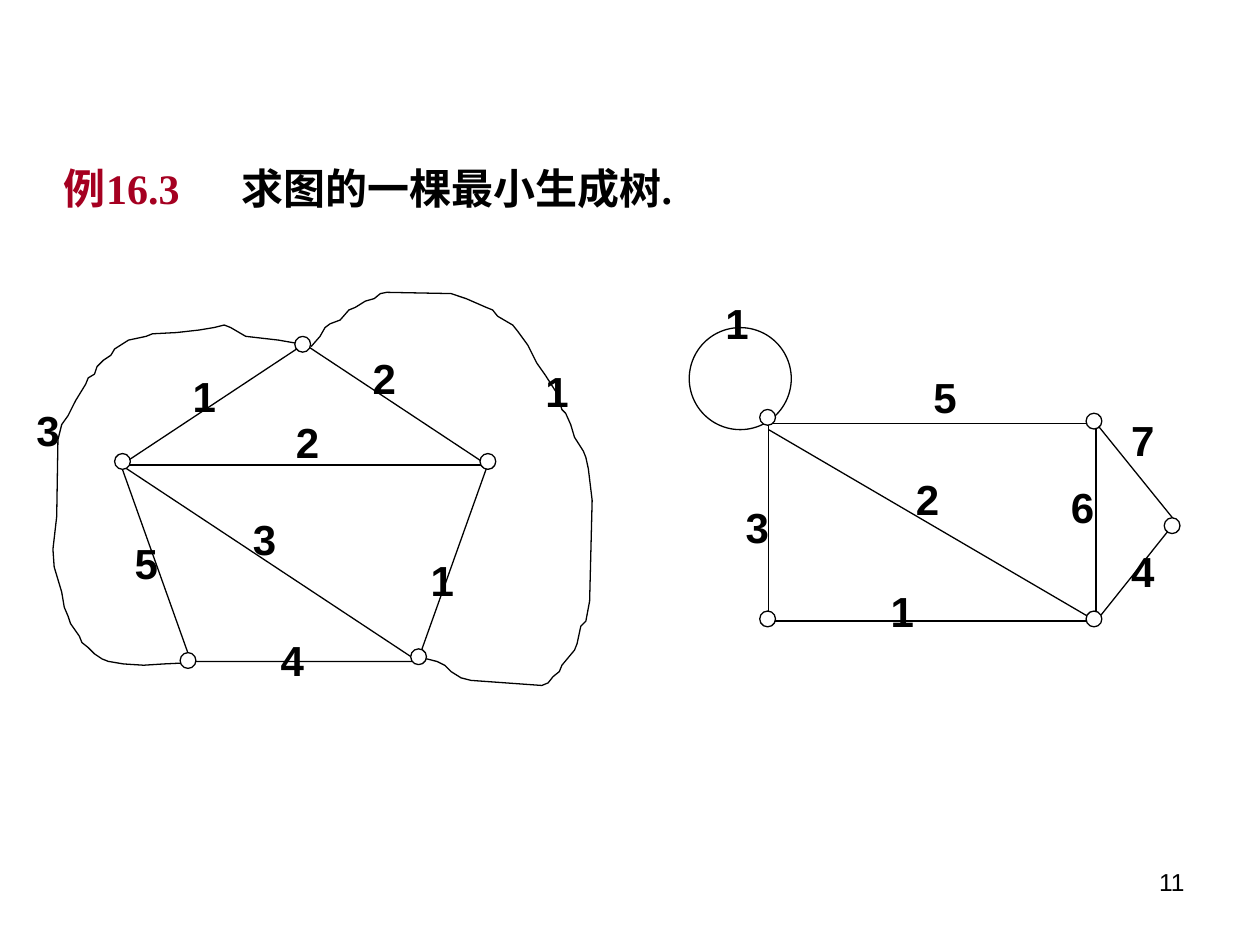
from dataclasses import dataclass

from lxml.etree import SubElement
from pptx import Presentation
from pptx.dml.color import RGBColor
from pptx.enum.shapes import MSO_CONNECTOR, MSO_SHAPE
from pptx.enum.text import MSO_AUTO_SIZE, PP_ALIGN
from pptx.oxml.ns import qn
from pptx.util import Inches, Pt


@dataclass(frozen=True)
class Theme:
    black: RGBColor = RGBColor(0, 0, 0)
    white: RGBColor = RGBColor(255, 255, 255)
    red: RGBColor = RGBColor(0xA5, 0x00, 0x21)
    sans: str = "Arial"
    serif: str = "Times New Roman"
    large: Pt = Pt(24)
    small: Pt = Pt(14)
    line: Pt = Pt(0.75)


theme = Theme()
presentation = Presentation()
presentation.slide_width, presentation.slide_height = Inches(10), Inches(7.5)
slide = presentation.slides.add_slide(presentation.slide_layouts[6])


def add_text(runs, left, top, width, height, font=theme.sans, size=theme.large,
             bold=True, align=PP_ALIGN.LEFT, grow=False):
    """Add one paragraph made of (text, colour) runs."""
    box = slide.shapes.add_textbox(Inches(left), Inches(top), Inches(width), Inches(height))
    frame = box.text_frame
    frame.word_wrap = True
    if grow:
        frame.auto_size = MSO_AUTO_SIZE.SHAPE_TO_FIT_TEXT
    paragraph = frame.paragraphs[0]
    paragraph.alignment = align
    for text, color in runs:
        run = paragraph.add_run()
        run.text = text
        run.font.name, run.font.size, run.font.bold = font, size, bold
        run.font.color.rgb = color
    return paragraph


def style_outline(shape, fill=None):
    """Give a shape a thin black outline, hollow unless a fill is named."""
    shape.shadow.inherit = False
    shape.line.color.rgb = theme.black
    shape.line.width = theme.line
    if fill is None:
        shape.fill.background()
    else:
        shape.fill.solid()
        shape.fill.fore_color.rgb = fill


# Page number and heading
add_text([("11", theme.black)], 7.17, 6.83, 2.33, 0.52,
         size=theme.small, bold=False, align=PP_ALIGN.RIGHT)
heading = add_text([("例16.3\t", theme.red), ("求图的一棵最小生成树.", theme.black)],
                   0.41, 1.24, 9, 0.51, font=theme.serif)
heading.space_before = Pt(6)
tab_stops = SubElement(heading._p.get_or_add_pPr(), qn("a:tabLst"))
SubElement(tab_stops, qn("a:tab"), pos=str(Inches(1.41)), algn="l")

# Pentagon, rectangle and loop
for kind, left, top, width, height in [
    (MSO_SHAPE.REGULAR_PENTAGON, 0.96, 2.73, 2.91, 2.52),
    (MSO_SHAPE.RECTANGLE, 6.1, 3.36, 2.6, 1.57),
    (MSO_SHAPE.OVAL, 5.47, 2.6, 0.81, 0.81),
]:
    style_outline(slide.shapes.add_shape(
        kind, Inches(left), Inches(top), Inches(width), Inches(height)))

# Straight edges
for start_x, start_y, end_x, end_y in [
    (0.96, 3.69, 3.88, 3.69),
    (0.96, 3.69, 3.32, 5.25),
    (6.1, 3.41, 8.7, 4.93),
    (8.7, 3.36, 9.33, 4.14),
    (8.7, 4.93, 9.33, 4.14),
]:
    edge = slide.shapes.add_connector(
        MSO_CONNECTOR.STRAIGHT, Inches(start_x), Inches(start_y), Inches(end_x), Inches(end_y))
    edge.line.color.rgb = theme.black
    edge.line.width = theme.line
    SubElement(edge._element.spPr, qn("a:effectLst"))

# Hand-drawn edges, in hundredths of an inch
left_edge = [
    (244, 274), (221, 270), (195, 267), (183, 260), (178, 258), (170, 260), (158, 262),
    (140, 264), (121, 265), (116, 267), (102, 270), (91, 277), (88, 282), (82, 286),
    (77, 291), (75, 297), (70, 300), (68, 305), (60, 318), (54, 330), (49, 337),
    (46, 349), (45, 410), (42, 436), (43, 450), (49, 470), (51, 482), (54, 489),
    (56, 495), (63, 505), (65, 510), (70, 514), (75, 519), (81, 523), (86, 525),
    (98, 527), (114, 528), (130, 527), (151, 526),
]
right_edge = [
    (247, 275), (254, 267), (258, 260), (262, 257), (270, 254), (277, 246), (282, 244),
    (290, 239), (297, 237), (302, 233), (307, 232), (358, 233), (370, 237), (386, 244),
    (391, 246), (395, 251), (407, 258), (411, 263), (419, 274), (426, 288), (433, 298),
    (442, 312), (446, 325), (449, 328), (453, 337), (456, 347), (463, 358), (465, 363),
    (467, 372), (470, 397), (468, 477), (465, 493), (461, 497), (458, 511), (456, 516),
    (446, 528), (444, 533), (439, 537), (435, 542), (430, 544), (374, 540), (366, 538),
    (358, 533), (353, 528), (347, 525), (339, 523), (330, 523),
]
for points in (left_edge, right_edge):
    builder = slide.shapes.build_freeform(*points[0], scale=Inches(0.01))
    builder.add_line_segments(points[1:], close=False)
    style_outline(builder.convert_to_shape())

# Edge weights
for weight, left, top in [
    ("2", 7.17, 3.71), ("5", 7.31, 2.9), ("3", 5.82, 3.93), ("1", 6.97, 4.6),
    ("1", 5.66, 2.31), ("4", 2.13, 4.99), ("5", 0.97, 4.22), ("3", 1.91, 4.03),
    ("3", 0.19, 3.16), ("2", 2.25, 3.26), ("1", 3.32, 4.35), ("1", 1.43, 2.89),
    ("2", 2.86, 2.75), ("6", 8.4, 3.77), ("4", 8.88, 4.28), ("7", 8.88, 3.24),
    ("1", 4.23, 2.85),
]:
    add_text([(weight, theme.black)], left, top, 0.46, 0.5, grow=True)

# Vertices
diameter = Inches(0.125)
for left, top in [
    (2.34, 2.67), (3.81, 3.6), (3.26, 5.15), (0.91, 3.6), (1.43, 5.18),
    (6.03, 3.25), (6.03, 4.85), (8.62, 4.85), (9.24, 4.11), (8.62, 3.28),
]:
    style_outline(slide.shapes.add_shape(
        MSO_SHAPE.OVAL, Inches(left), Inches(top), diameter, diameter), fill=theme.white)

presentation.save("out.pptx")
